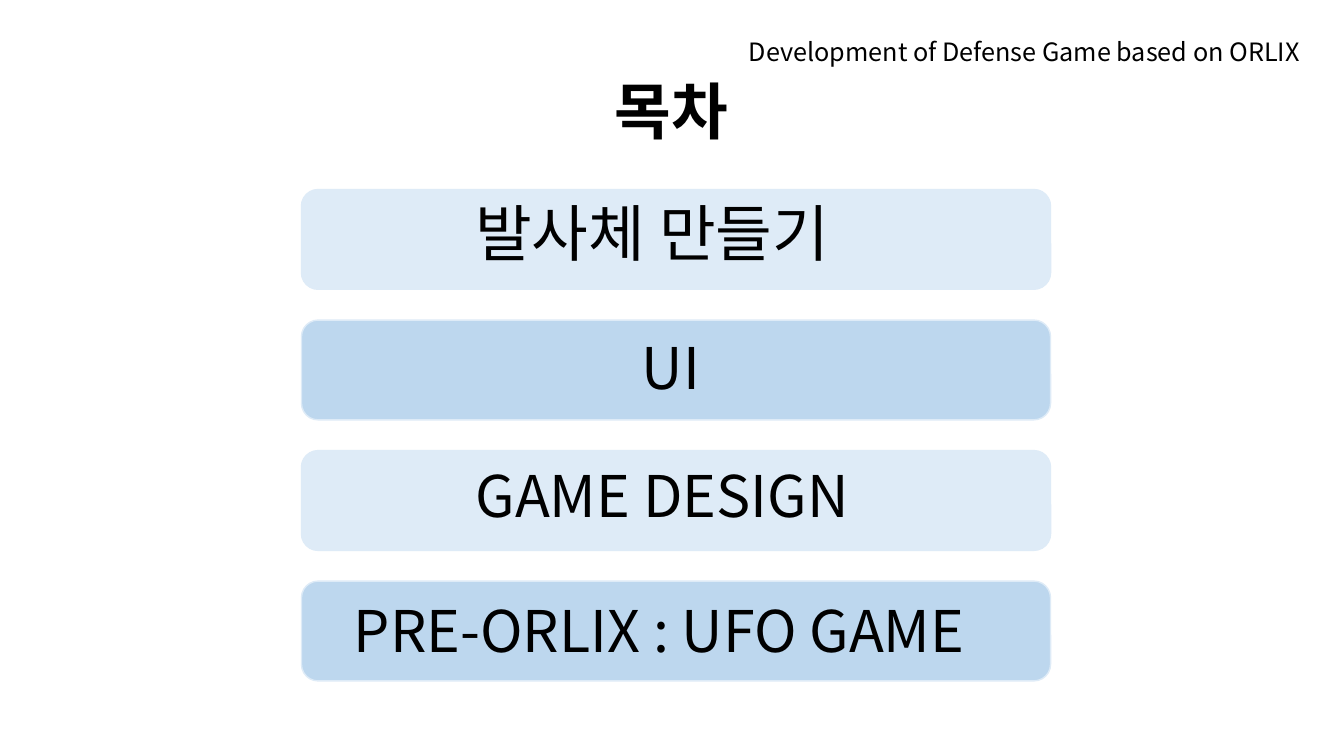
from lxml import etree
from pptx import Presentation
from pptx.dml.color import RGBColor
from pptx.enum.shapes import MSO_SHAPE
from pptx.enum.text import MSO_ANCHOR, PP_ALIGN
from pptx.oxml.ns import qn
from pptx.util import Inches, Pt

ROUNDED = MSO_SHAPE.ROUNDED_RECTANGLE
LEFT, CENTER = PP_ALIGN.LEFT, PP_ALIGN.CENTER
MIDDLE = MSO_ANCHOR.MIDDLE
FONT = "Noto Sans CJK KR"
LIGHT_BLUE, MID_BLUE, BLACK = "DEEBF7", "BDD7EE", "000000"


def color(hex_code):
    return RGBColor.from_string(hex_code)


def add_text(text, left, top, width, height, size, align=LEFT):
    box = slide.shapes.add_textbox(Inches(left), Inches(top), Inches(width), Inches(height))
    frame = box.text_frame
    frame.word_wrap = True
    frame.text = text
    paragraph = frame.paragraphs[0]
    paragraph.alignment = align
    run = paragraph.runs[0]
    run.font.size = Pt(size)
    run.font.name = FONT
    run.font.color.rgb = color(BLACK)
    etree.SubElement(run.font._element, qn("a:ea"), typeface=FONT)
    return frame


presentation = Presentation()
presentation.slide_width = Inches(13.33)
presentation.slide_height = Inches(7.5)
slide = presentation.slides.add_slide(presentation.slide_layouts[6])

title = add_text("목차", 6, 0.41, 11.5, 1.45, 44)
title.vertical_anchor = MIDDLE
title.paragraphs[0].line_spacing = 0.9
title.paragraphs[0].runs[0].font.bold = True
add_text("Development of Defense Game based on ORLIX", 7.33, 0.31, 6.58, 0.4, 18)

# Agenda bars, evenly spaced with alternating fills
for index in range(4):
    bar = slide.shapes.add_shape(
        ROUNDED, Inches(2.99), Inches(1.88 + index * 1.295), Inches(7.43), Inches(0.99))
    bar.shadow.inherit = False
    bar.fill.solid()
    bar.fill.fore_color.rgb = color((LIGHT_BLUE, MID_BLUE)[index % 2])
    bar.line.color.rgb = color(LIGHT_BLUE)
    bar.line.width = Pt(1)

first_topic = add_text("발사체 만들기", 3.49, 1.97, 5.96, 0.91, 44, CENTER)
first_topic.paragraphs[0].line_spacing = 0.9
first_topic.paragraphs[0].space_before = Pt(10)

for topic, left, top, width, align in (
    ("UI", 5.47, 3.25, 2.37, CENTER),
    ("GAME DESIGN", 4.62, 4.52, 6.91, LEFT),
    ("PRE-ORLIX : UFO GAME", 3.41, 5.85, 8.12, LEFT),
):
    add_text(topic, left, top, width, 1.09, 41, align)

presentation.save("out.pptx")
